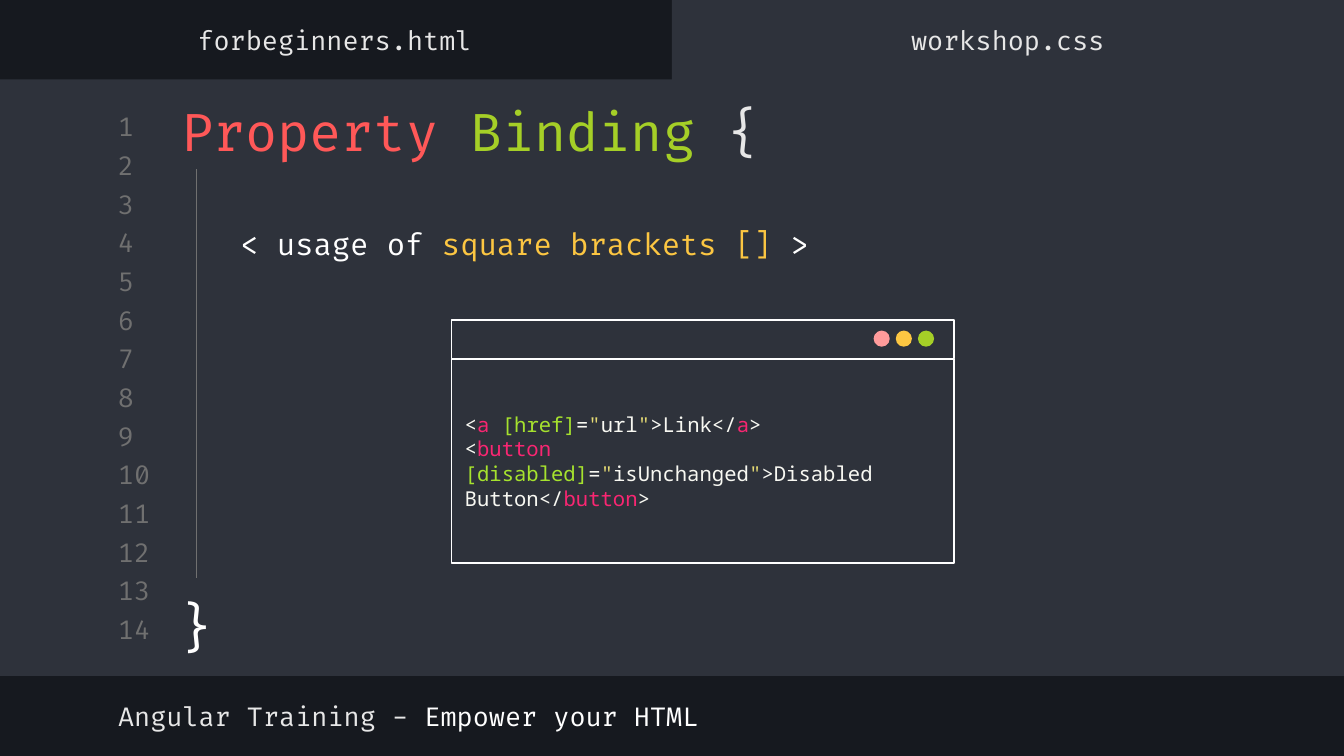
from pptx import Presentation
from pptx.dml.color import RGBColor
from pptx.enum.shapes import MSO_CONNECTOR, MSO_SHAPE
from pptx.enum.text import MSO_ANCHOR as ANCHOR, PP_ALIGN as ALIGN
from pptx.oxml.ns import qn
from pptx.util import Inches, Pt
from lxml import etree

DARK, PANEL, GRAY = "16191F", "2E323B", "707070"
WHITE, LIGHT = "FFFFFF", "E7E7E7"
RED, GREEN, YELLOW, PINK = "FF5858", "A5CF27", "FCC642", "FF9B9B"
TAG, ATTR, QUOTE, CODE = "F92672", "A6E22E", "E6DB74", "F8F8F2"


def add_shape(kind, box, fill, line=None):
    sp = s.shapes.add_shape(kind, *map(Inches, box))
    sp.shadow.inherit = False
    sp.fill.solid()
    sp.fill.fore_color.rgb = rgb(fill)
    if line:
        sp.line.color.rgb = rgb(line)
        sp.line.width = Pt(0.75)
    else:
        sp.line.fill.background()
    return sp


def write(sp, lines, size, font="Fira Code", align=ALIGN.LEFT, anchor=ANCHOR.MIDDLE):
    """Fill a shape with paragraphs, each a list of (text, colour) runs."""
    tf = sp.text_frame
    frame = {"word_wrap": True, "vertical_anchor": anchor}
    frame.update({f"margin_{side}": Inches(0.1) for side in ("left", "top", "right", "bottom")})
    for name, value in frame.items():
        setattr(tf, name, value)
    for i, runs in enumerate(lines):
        p = tf.add_paragraph() if i else tf.paragraphs[0]
        p.alignment = align
        for text, color in runs:
            r = p.add_run()
            r.text = text
            for name, value in {"name": font, "size": Pt(size)}.items():
                setattr(r.font, name, value)
            r.font.color.rgb = rgb(color)


rgb = RGBColor.from_string
prs = Presentation()
prs.slide_width = Inches(10)
prs.slide_height = prs.slide_width * 9 // 16
s = prs.slides.add_slide(prs.slide_layouts[6])
s.background.fill.solid()
s.background.fill.fore_color.rgb = rgb(DARK)

# Editor panel and its active tab
for box in ((0, 0.59, 10, 4.44), (5, 0, 5, 0.69)):
    add_shape(MSO_SHAPE.RECTANGLE, box, PANEL)

# Line numbers, evenly spread from the first to the last
first_top, last_top, count = 0.82, 4.56, 14
pitch = (last_top - first_top) / (count - 1)
texts = [
    ((0.78, first_top + pitch * i, 0.47, 0.24), [(str(i + 1), GRAY)],
     14, ALIGN.LEFT, ANCHOR.MIDDLE)
    for i in range(count)
]

# Title, closing brace, footer, tabs and subtitle
texts += [
    ((1.25, 0.64, 7.97, 0.59), [("Property ", RED), ("Binding ", GREEN), ("{", LIGHT)],
     28, ALIGN.LEFT, ANCHOR.TOP),
    ((1.19, 4.32, 0.55, 0.67), [("}", WHITE)], 28, ALIGN.CENTER, ANCHOR.TOP),
    ((0.78, 5.13, 5.32, 0.39), [("Angular Training - ", LIGHT), ("Empower your HTML", WHITE)],
     14, ALIGN.LEFT, ANCHOR.MIDDLE),
    ((-0.01, 0.1, 5, 0.39), [("forbeginners.html", LIGHT)], 14, ALIGN.CENTER, ANCHOR.MIDDLE),
    ((5, 0.1, 5, 0.39), [("workshop.css", LIGHT)], 14, ALIGN.CENTER, ANCHOR.MIDDLE),
    ((1.69, 1.28, 7.16, 1.06),
     [("< usage of ", WHITE), ("square brackets [] ", YELLOW), (">", WHITE)],
     16, ALIGN.LEFT, ANCHOR.MIDDLE),
]
for box, runs, size, align, anchor in texts:
    write(s.shapes.add_textbox(*map(Inches, box)), [runs], size, align=align, anchor=anchor)

# Indent guide between the braces
guide = s.shapes.add_connector(
    MSO_CONNECTOR.STRAIGHT, Inches(1.46), Inches(1.26), Inches(1.46), Inches(4.3))
guide.line.color.rgb = rgb(GRAY)
guide.line.width = Pt(0.75)
etree.SubElement(guide._element.spPr, qn("a:effectLst"))

# Code window
code = [
    [("<", CODE), ("a ", TAG), ("[href]", ATTR), ("=", CODE), ('"', QUOTE), ("url", CODE),
     ('"', QUOTE), (">Link</", CODE), ("a", TAG), (">", CODE)],
    [("<", CODE), ("button ", TAG), ("[disabled]", ATTR), ("=", CODE), ('"', QUOTE),
     ("isUnchanged", CODE), ('"', QUOTE), (">Disabled Button</", CODE), ("button", TAG),
     (">", CODE)],
]
window = add_shape(MSO_SHAPE.RECTANGLE, (3.36, 2.67, 3.74, 1.52), PANEL, WHITE)
write(window, code, 11, "Noto Sans Mono")
add_shape(MSO_SHAPE.RECTANGLE, (3.36, 2.38, 3.74, 0.29), PANEL, WHITE)
for i, color in enumerate((PINK, YELLOW, GREEN)):
    add_shape(MSO_SHAPE.OVAL, (6.5 + 0.33 * i / 2, 2.46, 0.12, 0.12), color)

prs.save("out.pptx")
